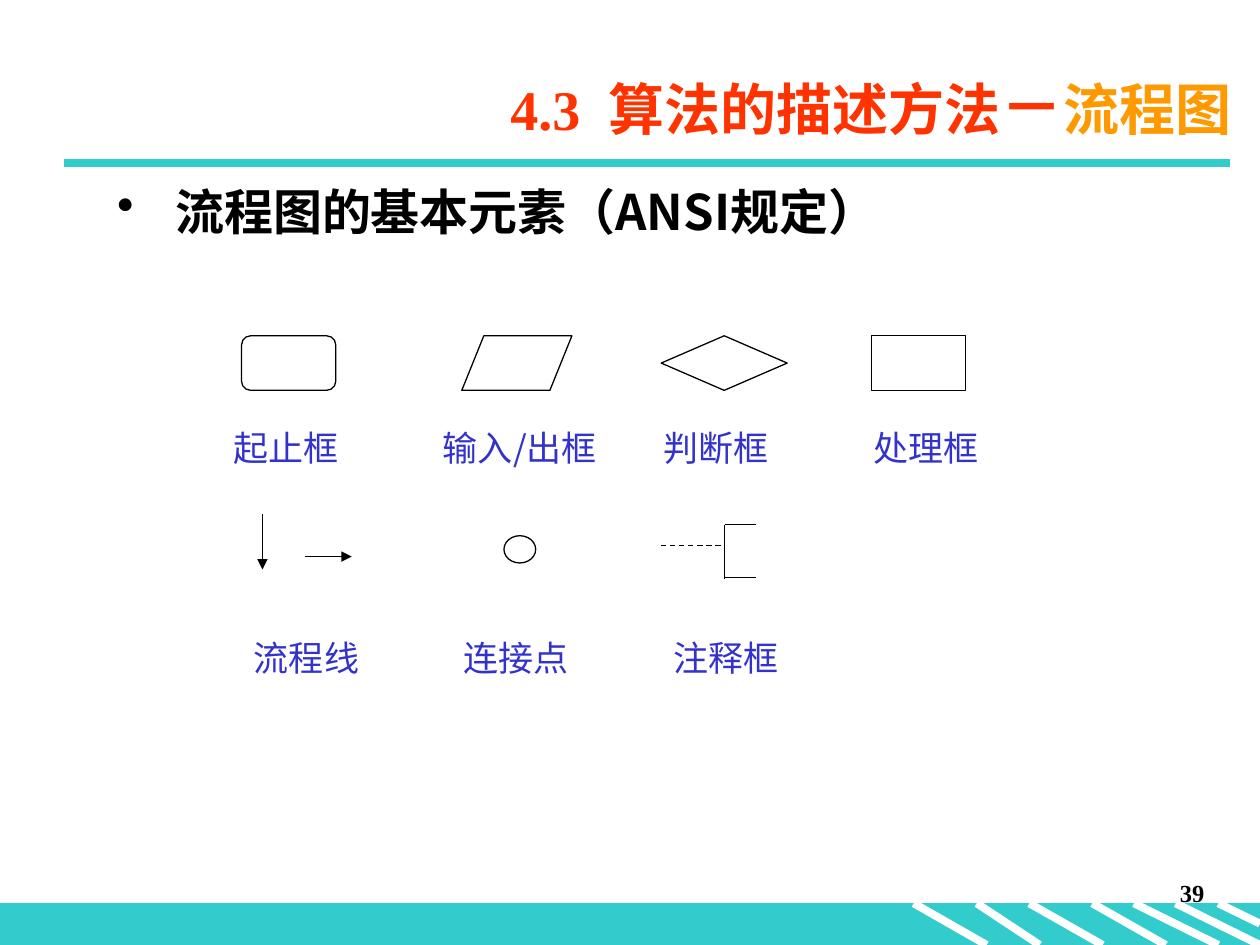
"""Build the slide on the basic elements of a flowchart."""
from dataclasses import dataclass
from typing import Any, NamedTuple

from lxml import etree
from pptx import Presentation
from pptx.dml.color import RGBColor
from pptx.enum.dml import MSO_LINE
from pptx.enum.shapes import MSO_CONNECTOR, MSO_SHAPE
from pptx.enum.text import MSO_ANCHOR, MSO_AUTO_SIZE, PP_ALIGN
from pptx.oxml.ns import qn
from pptx.util import Cm, Pt

RECT = MSO_SHAPE.RECTANGLE
START = MSO_SHAPE.FLOWCHART_ALTERNATE_PROCESS
DATA = MSO_SHAPE.FLOWCHART_DATA
TEST = MSO_SHAPE.FLOWCHART_DECISION
STEP = MSO_SHAPE.FLOWCHART_PROCESS
OVAL = MSO_SHAPE.OVAL
DIRECT = MSO_CONNECTOR.STRAIGHT
DASH = MSO_LINE.DASH
LEFT, RIGHT = PP_ALIGN.LEFT, PP_ALIGN.RIGHT
TOP, MIDDLE = MSO_ANCHOR.TOP, MSO_ANCHOR.MIDDLE
FIXED, GROW = MSO_AUTO_SIZE.NONE, MSO_AUTO_SIZE.SHAPE_TO_FIT_TEXT


@dataclass(frozen=True)
class Theme:
    teal: str = "33CCCC"
    white: str = "FFFFFF"
    black: str = "000000"
    red: str = "FF3300"
    gold: str = "FF9900"
    blue: str = "3333CC"
    serif: str = "Times New Roman"
    sans: str = "Noto Sans CJK SC"
    title: float = 32
    mark: float = 36
    body: float = 28
    label: float = 20
    page: float = 14
    thin: float = 0.75
    thick: float = 4.5


THEME = Theme()


class Box(NamedTuple):
    left: float
    top: float
    width: float
    height: float


class Line(NamedTuple):
    x1: float
    y1: float
    x2: float
    y2: float
    color: str = THEME.black
    width: float = THEME.thin
    dash: Any = None
    arrow: bool = False


class Run(NamedTuple):
    text: str
    size: float
    color: str
    face: str = THEME.sans
    bold: bool = False


def apply(target: Any, values: dict[str, Any]) -> None:
    for name, value in values.items():
        setattr(target, name, value)


def draw_shape(slide: Any, kind: Any, box: Box, fill: str, edge: str) -> None:
    shape = slide.shapes.add_shape(kind, *map(Cm, box))
    shape.shadow.inherit = False
    shape.fill.solid()
    shape.fill.fore_color.rgb = RGBColor.from_string(fill)
    shape.line.color.rgb = RGBColor.from_string(edge)
    shape.line.width = Pt(THEME.thin)


def draw_line(slide: Any, line: Line) -> None:
    shape = slide.shapes.add_connector(DIRECT, *map(Cm, line[:4]))
    shape.line.color.rgb = RGBColor.from_string(line.color)
    apply(shape.line, {"width": Pt(line.width), "dash_style": line.dash})
    if line.arrow:
        etree.SubElement(shape.line._get_or_add_ln(), qn("a:tailEnd"), type="triangle")
    etree.SubElement(shape._element.spPr, qn("a:effectLst"))


def draw_text(slide: Any, box: Box, runs: list[Run], align: Any = LEFT,
              anchor: Any = TOP, fit: Any = FIXED) -> Any:
    frame = slide.shapes.add_textbox(*map(Cm, box)).text_frame
    apply(frame, {"word_wrap": True, "auto_size": fit, "vertical_anchor": anchor})
    para = frame.paragraphs[0]
    para.alignment = align
    for item in runs:
        run = para.add_run()
        run.text = item.text
        apply(run.font, {"size": Pt(item.size), "bold": item.bold, "name": item.face})
        run.font.color.rgb = RGBColor.from_string(item.color)
        etree.SubElement(run.font._element, qn("a:ea"), typeface=THEME.sans)
    return para


def add_bullet(para: Any, indent: float) -> None:
    props = para._p.get_or_add_pPr()
    props.set("marL", str(Cm(indent)))
    props.set("indent", str(-Cm(indent)))
    etree.SubElement(props, qn("a:buChar"), char="•")


def draw_frame(slide: Any) -> None:
    draw_shape(slide, RECT, Box(0, 18.21, 25.4, 0.84), THEME.teal, THEME.teal)
    stripes = [(18.42, 19.89), (19.69, 20.96), (20.75, 22.23), (22.02, 23.5),
               (22.86, 24.56), (23.7, 25.4)]
    for left, right in stripes:
        draw_line(slide, Line(left, 18.21, right, 19.05, THEME.white, THEME.thick))
    draw_line(slide, Line(24.56, 18.21, 25.4, 18.62, THEME.white, THEME.thick))
    draw_line(slide, Line(1.3, 3.28, 24.79, 3.28, THEME.teal, THEME.thick))
    page = Run("39", THEME.page, THEME.black, THEME.serif, True)
    draw_text(slide, Box(19.25, 17.58, 5.28, 1.27), [page], RIGHT)


def draw_heads(slide: Any) -> None:
    title = [
        Run("4.3  算法的描述方法", THEME.title, THEME.red, THEME.serif, True),
        Run("－", THEME.mark, THEME.red, THEME.sans, True),
        Run("流程图", THEME.title, THEME.gold, THEME.serif, True),
    ]
    draw_text(slide, Box(3.5, 1.12, 21.59, 2), title, RIGHT, MIDDLE)
    body = Run(" 流程图的基本元素（ANSI规定）", THEME.body, THEME.black, bold=True)
    add_bullet(draw_text(slide, Box(2.11, 3.53, 21.59, 12.8), [body]), 0.95)


def draw_signs(slide: Any) -> None:
    signs = [
        (START, Box(4.87, 6.77, 1.9, 1.1)),
        (DATA, Box(9.31, 6.77, 2.22, 1.1)),
        (TEST, Box(13.33, 6.77, 2.54, 1.1)),
        (STEP, Box(17.57, 6.77, 1.9, 1.1)),
        (OVAL, Box(10.16, 10.8, 0.64, 0.55)),
    ]
    for kind, box in signs:
        draw_shape(slide, kind, box, THEME.white, THEME.black)
    lines = [
        Line(5.29, 10.37, 5.29, 11.48, arrow=True),
        Line(6.14, 11.22, 7.09, 11.22, arrow=True),
        Line(14.61, 10.58, 14.61, 11.68),
        Line(14.61, 10.58, 15.24, 10.58),
        Line(14.61, 11.64, 15.24, 11.64),
        Line(13.33, 11, 14.61, 11, dash=DASH),
    ]
    for line in lines:
        draw_line(slide, line)


def draw_labels(slide: Any) -> None:
    rows = {
        8.47: [("起止框", 4.45, 3.18), ("输入/出框", 8.68, 4.23),
               ("判断框", 13.12, 2.96), ("处理框", 17.36, 2.75)],
        12.7: [("流程线", 4.87, 3.18), ("连接点", 9.1, 3.18), ("注释框", 13.33, 3.18)],
    }
    for top, labels in rows.items():
        for text, left, width in labels:
            run = Run(text, THEME.label, THEME.blue)
            draw_text(slide, Box(left, top, width, 1.11), [run], fit=GROW)


def main() -> None:
    deck = Presentation()
    apply(deck, {"slide_width": Cm(25.4), "slide_height": Cm(19.05)})
    slide = deck.slides.add_slide(deck.slide_layouts[6])
    for draw in (draw_frame, draw_heads, draw_signs, draw_labels):
        draw(slide)
    deck.save("out.pptx")


if __name__ == "__main__":
    main()
